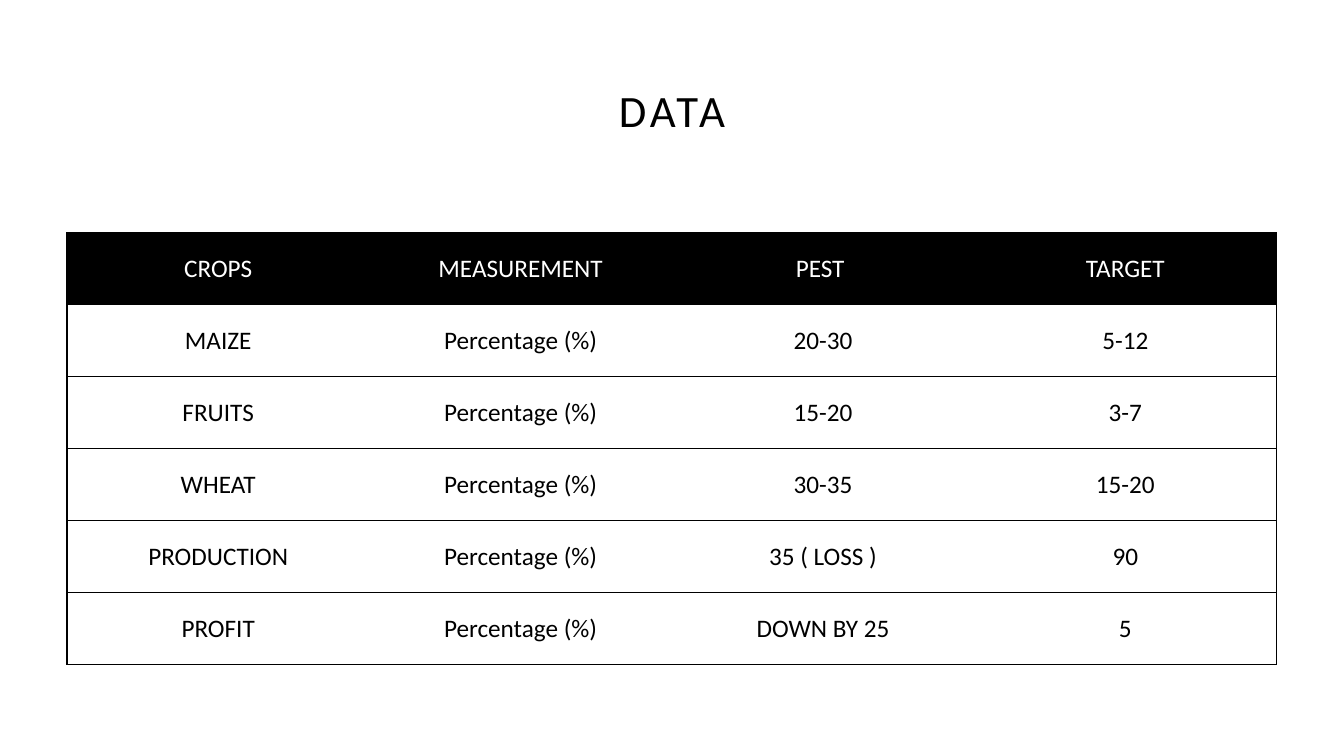
import dataclasses

import lxml.etree
import pptx
import pptx.dml.color
import pptx.enum.text
import pptx.oxml.ns
import pptx.table
import pptx.text.text
import pptx.util

Cm = pptx.util.Cm
Pt = pptx.util.Pt

COLORS = {"ink": "000000", "paper": "FFFFFF"}
FONT = "Calibri"
UNIT = "Percentage (%)"


@dataclasses.dataclass
class Crop:
    name: str
    pest: str
    target: str
    unit: str = UNIT


HEAD = Crop("CROPS", "PEST ", "TARGET", "MEASUREMENT")
CROPS = [
    Crop("MAIZE", "20-30", "5-12"),
    Crop("FRUITS", "15-20", "3-7"),
    Crop("WHEAT", "30-35", "15-20"),
    Crop("PRODUCTION", "35 ( LOSS )", "90"),
    Crop("PROFIT", "DOWN BY 25", "5"),
]


def get_color(name: str) -> pptx.dml.color.RGBColor:
    return pptx.dml.color.RGBColor.from_string(COLORS[name])


def style_text(para: pptx.text.text._Paragraph, size: int, color: str) -> None:
    para.alignment = pptx.enum.text.PP_ALIGN.CENTER
    para.font.name = FONT
    para.font.size = Pt(size)
    para.font.color.rgb = get_color(color)


def add_edge(cell: pptx.table._Cell, side: str, drawn: bool) -> None:
    """Line one side (L, R, T or B) of a cell, or clear it."""
    qn = pptx.oxml.ns.qn
    props = cell._tc.get_or_add_tcPr()
    line = lxml.etree.SubElement(props, qn(f"a:ln{side}"), w=str(Pt(1)))
    if drawn:
        fill = lxml.etree.SubElement(line, qn("a:solidFill"))
        lxml.etree.SubElement(fill, qn("a:srgbClr"), val=COLORS["ink"])
    else:
        lxml.etree.SubElement(line, qn("a:noFill"))


def fill_cell(cell: pptx.table._Cell, text: str, head: bool,
              first: bool, last: bool) -> None:
    cell.text = text
    cell.vertical_anchor = pptx.enum.text.MSO_ANCHOR.MIDDLE
    style_text(cell.text_frame.paragraphs[0], 18, "paper" if head else "ink")
    for side, drawn in {"L": first, "R": last, "T": True, "B": True}.items():
        add_edge(cell, side, drawn)
    cell.fill.solid()
    cell.fill.fore_color.rgb = get_color("ink" if head else "paper")


def main() -> None:
    deck = pptx.Presentation()
    deck.slide_width, deck.slide_height = Cm(33.87), Cm(19.05)
    slide = deck.slides.add_slide(deck.slide_layouts[5])

    title = slide.shapes.title
    title.left, title.top = Cm(2.33), Cm(1.01)
    title.width, title.height = Cm(29.21), Cm(3.68)
    title.text_frame.text = "DATA"
    title.text_frame.vertical_anchor = pptx.enum.text.MSO_ANCHOR.MIDDLE
    para = title.text_frame.paragraphs[0]
    para.line_spacing = 0.9
    style_text(para, 32, "ink")
    para.runs[0]._r.get_or_add_rPr().set("spc", "300")

    rows = [HEAD, *CROPS]
    table = slide.shapes.add_table(
        len(rows), 4, Cm(1.69), Cm(5.87), Cm(30.48), Cm(10.88)).table
    table.horz_banding = False
    for y, crop in enumerate(rows):
        texts = [crop.name, crop.unit, crop.pest, crop.target]
        for x, text in enumerate(texts):
            fill_cell(table.cell(y, x), text, crop is HEAD,
                      x == 0, x == len(texts) - 1)
    table.first_row = False

    deck.save("out.pptx")


if __name__ == "__main__":
    main()
